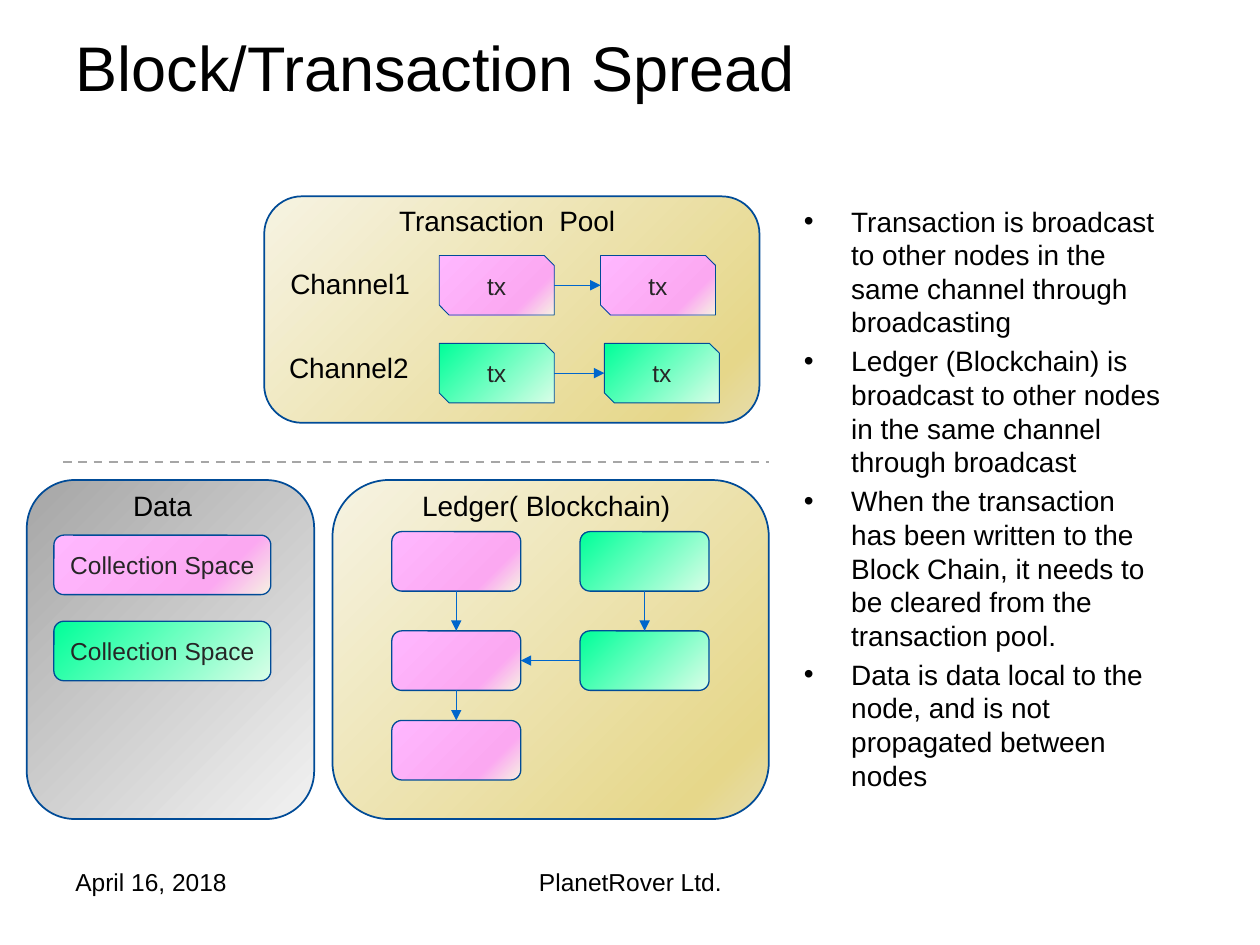
from copy import deepcopy

from lxml.etree import SubElement
from pptx import Presentation
from pptx.dml.color import RGBColor
from pptx.enum.dml import MSO_LINE
from pptx.enum.shapes import MSO_CONNECTOR, MSO_SHAPE
from pptx.enum.text import MSO_ANCHOR, MSO_AUTO_SIZE, PP_ALIGN
from pptx.oxml.ns import qn
from pptx.util import Pt

# Gradients run from the bottom right corner to the top left one
GOLD = [(0, "E6DCAC"), (0.12, "E6D78A"), (1, "F6F3E2")]
GRAY = [(0, "F2F2F2"), (1, "A6A6A6")]
PINK = [(0, "F6F3E2"), (0.25, "FBA8F1"), (1, "FFB7FF")]
GREEN = [(0, "DAFEE8"), (1, "00FF99")]
TOP, LEFT, BOTTOM, RIGHT = range(4)

BULLETS = [
    "Transaction is broadcast to other nodes in the same channel through broadcasting",
    "Ledger (Blockchain) is broadcast to other nodes in the same channel through broadcast",
    "When the transaction has been written to the Block Chain, it needs to be cleared "
    "from the transaction pool.",
    "Data is data local to the node, and is not propagated between nodes",
]


def color(code):
    return RGBColor.from_string(code)


def assign(target, values):
    for name, value in values.items():
        setattr(target, name, value)


class Slide:
    font = "Arial"
    outline = "004B97"
    arrow_color = "0066CC"

    def __init__(self, deck):
        self.page = deck.slides.add_slide(deck.slide_layouts[1])
        self.shapes = self.page.shapes

    def add_text(self, box, lines, size, align=PP_ALIGN.LEFT, ink="000000", **frame_format):
        frame = box.text_frame
        assign(frame, {"word_wrap": True, "auto_size": MSO_AUTO_SIZE.NONE, **frame_format})
        for number, line in enumerate(lines):
            para = frame.add_paragraph() if number else frame.paragraphs[0]
            para.alignment = align
            span = para.add_run()
            span.text = line
            assign(span.font, {"name": self.font, "size": Pt(size)})
            span.font.color.rgb = color(ink)

    def place(self, box, left, top, width, height):
        assign(box, {"left": Pt(left), "top": Pt(top),
                     "width": Pt(width), "height": Pt(height)})

    def title(self, text, *area):
        box = self.shapes.title
        self.place(box, *area)
        self.add_text(box, [text], 36, vertical_anchor=MSO_ANCHOR.MIDDLE)

    def bullets(self, lines, *area):
        box = self.page.placeholders[1]
        self.place(box, *area)
        self.add_text(box, lines, 16)
        for para in box.text_frame.paragraphs:
            properties = para._p.get_or_add_pPr()
            properties.set("marL", str(Pt(27)))
            properties.set("indent", str(-Pt(27)))

    def label(self, text, left, top, width, height=26.6, size=16, align=PP_ALIGN.CENTER):
        box = self.shapes.add_textbox(Pt(left), Pt(top), Pt(width), Pt(height))
        self.add_text(box, [text], size, align)

    def block(self, stops, left, top, width, height, text="", line=0.75,
              kind=MSO_SHAPE.ROUNDED_RECTANGLE):
        box = self.shapes.add_shape(kind, Pt(left), Pt(top), Pt(width), Pt(height))
        box.shadow.inherit = False
        box.line.color.rgb = color(self.outline)
        box.line.width = Pt(line)
        box.fill.gradient()
        box.fill.gradient_angle = 135
        stop_list = box._element.spPr.find(qn("a:gradFill")).find(qn("a:gsLst"))
        for _ in stops[2:]:
            stop_list.append(deepcopy(stop_list[0]))
        for stop, (position, code) in zip(box.fill.gradient_stops, stops):
            stop.position = position
            stop.color.rgb = color(code)
        if text:
            self.add_text(box, [text], 14, PP_ALIGN.CENTER, "262626",
                          word_wrap=False, vertical_anchor=MSO_ANCHOR.MIDDLE)
        return box

    def line(self, left, top, right, bottom, code, width):
        link = self.shapes.add_connector(
            MSO_CONNECTOR.STRAIGHT, Pt(left), Pt(top), Pt(right), Pt(bottom))
        link.line.color.rgb = color(code)
        link.line.width = Pt(width)
        SubElement(link._element.spPr, qn("a:effectLst"))
        return link

    def arrow(self, start, start_side, end, end_side):
        link = self.line(0, 0, 0, 0, self.arrow_color, 0.5)
        link.begin_connect(start, start_side)
        link.end_connect(end, end_side)
        SubElement(link._element.spPr.find(qn("a:ln")), qn("a:tailEnd"), type="triangle")

    def chain_arrow(self, start, end):
        # Snipped rectangles number their sides from the right: 0 right, 2 left
        self.arrow(start, 0, end, 2)
        link = self.shapes[-1]
        middle = start.top + start.height // 2
        assign(link, {"begin_x": start.left + start.width, "begin_y": middle,
                      "end_x": end.left, "end_y": middle})


def main():
    deck = Presentation()
    assign(deck, {"slide_width": Pt(720), "slide_height": Pt(540)})
    slide = Slide(deck)

    # Title and explanation
    slide.title("Block/Transaction Spread", 36, 15.1, 648, 46)
    slide.bullets(BULLETS, 452.2, 113, 218.9, 337)

    # Panels and the divider between pool and storage
    for stops, area, heading, heading_area in [
        (GRAY, (15.3, 274.3, 164.2, 193.7), "Data", (18, 275.8, 149.8)),
        (GOLD, (190, 274.3, 249.3, 193.7), "Ledger( Blockchain)", (223.9, 275.8, 176.4)),
        (GOLD, (151, 112.2, 283, 129.4), "Transaction  Pool", (201.6, 113, 176.4)),
    ]:
        slide.block(stops, *area, line=1)
        slide.label(heading, *heading_area)
    divider = slide.line(36, 264, 439.2, 264, "A6A6A6", 1.25)
    divider.line.dash_style = MSO_LINE.DASH

    # Transaction pool: one chain for each channel
    for name, stops, top, second_left, label_left, label_top in [
        ("Channel1 ", PINK, 146, 343.2, 151.2, 149),
        ("Channel2 ", GREEN, 196.2, 345.4, 150.5, 196.6),
    ]:
        slide.label(name, label_left, label_top, 102.2)
        first, second = [
            slide.block(stops, left, top, 65.7, 34, "tx", 0.5,
                        MSO_SHAPE.SNIP_2_DIAG_RECTANGLE)
            for left in (251, second_left)
        ]
        slide.chain_arrow(first, second)

    # Ledger: two columns of linked blocks
    tops = (303.8, 360.5, 411.7)
    pink = [slide.block(PINK, 223.9, top, 73.7, 34) for top in tops]
    green = [slide.block(GREEN, 331.5, top, 73.7, 34) for top in tops[:2]]
    for column in (pink, green):
        for upper, lower in zip(column, column[1:]):
            slide.arrow(upper, BOTTOM, lower, TOP)
    slide.arrow(green[1], LEFT, pink[1], RIGHT)

    # Data collections
    for stops, top in ((PINK, 305.8), (GREEN, 355)):
        slide.block(stops, 30.8, top, 124, 34, "Collection Space")

    # Footer
    slide.label("April 16, 2018", 36, 491.8, 167.8, 37.4, 14, PP_ALIGN.LEFT)
    slide.label("PlanetRover Ltd.", 246.2, 491.8, 228.2, 37.4, 14)

    deck.save("out.pptx")


if __name__ == "__main__":
    main()
